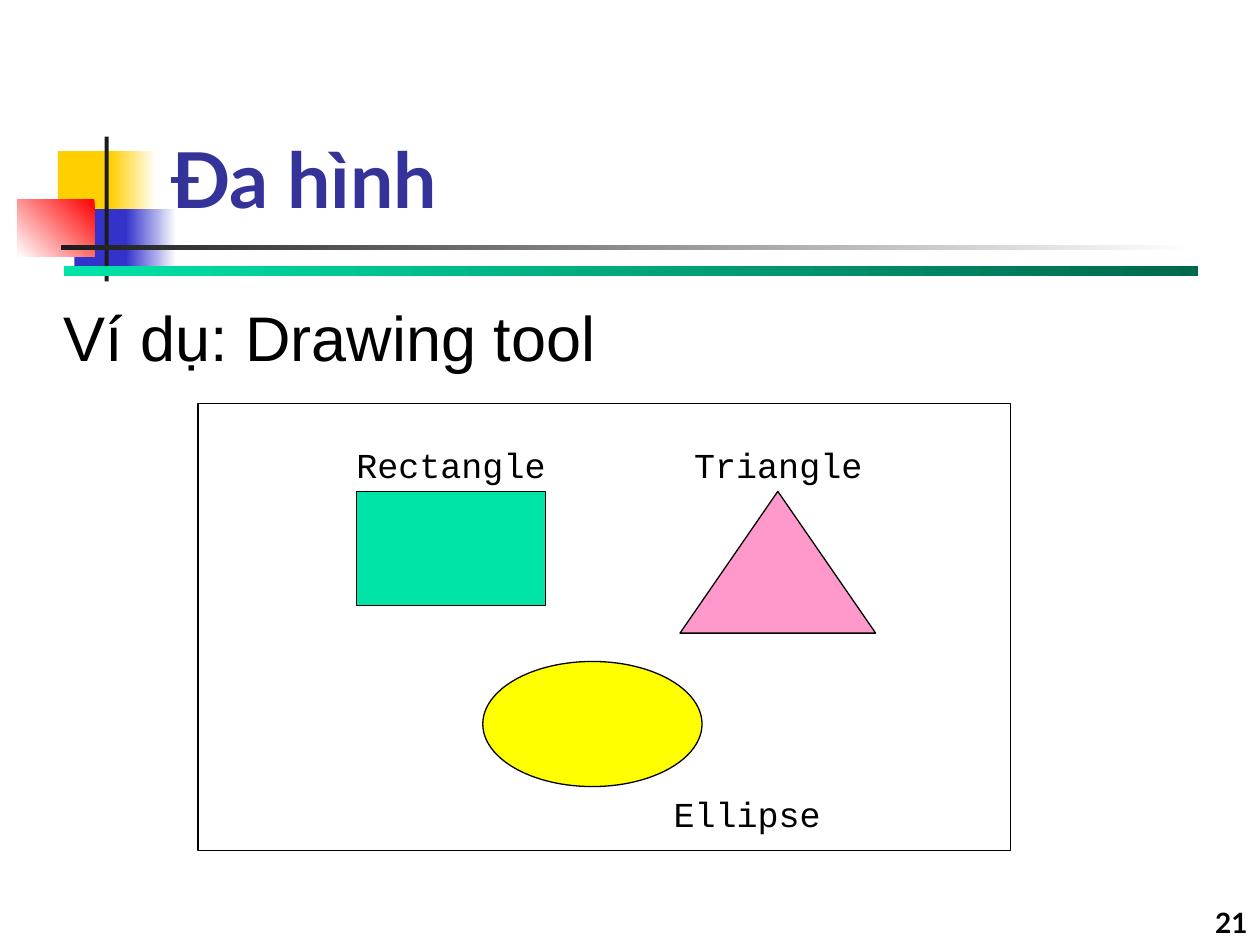
from pptx import Presentation
from pptx.dml.color import RGBColor as Rgb
from pptx.enum.shapes import MSO_SHAPE as Kind
from pptx.enum.text import MSO_ANCHOR as Anchor, MSO_AUTO_SIZE as Fit, PP_ALIGN as Align
from pptx.util import Pt

THEME = {
    "white": "FFFFFF", "black": "000000", "ink": "1C1C1C", "title": "333399",
    "gold": "FFCF01", "blue": "3333CC", "red": "FF0000",
    "mint": "00E4A8", "pine": "00694D", "yellow": "FFFF00", "pink": "FF99CC",
    "head": ("Lato", 44, True), "lead": ("Arial", 36, False),
    "code": ("Courier New", 20, False), "page": ("Lato", 16, True),
}

TITLE = ("Đa hình", (90.72, 16.56, 613.44, 115.2))

DECOR = [
    ((33.12, 86.4, 34.56, 37.44), ["gold"], 0),
    ((63.36, 86.4, 25.92, 37.44), ["white", "gold"], 180),
    ((42.48, 119.52, 33.12, 37.44), ["blue"], 0),
    ((72, 119.52, 28.8, 37.44), ["white", "blue"], 180),
    ((10.08, 113.76, 43.92, 33.12), ["red", "white"], 225),
    ((59.76, 78, 2.4, 82.8), ["ink"], 0),
    ((34.8, 140.2, 648, 2.5), ["white", "ink"], 180),
    ((36.72, 152, 648, 6), ["pine", "mint"], 180),
]

FIGURES = [
    (Kind.RECTANGLE, (113.2, 230.4, 464.4, 255.8), None),
    (Kind.RECTANGLE, (203.76, 280.8, 108, 65.2), "mint"),
    (Kind.OVAL, (275.9, 378, 125.28, 71.5), "yellow"),
    (Kind.ISOSCELES_TRIANGLE, (388.6, 280.8, 111.8, 81), "pink"),
]

LABELS = [
    ("Ví dụ: Drawing tool", (29.2, 167.04, 330, 50.4), "lead"),
    ("Rectangle", (196.56, 249.84, 132, 31.68), "code"),
    ("Triangle", (389.6, 249.84, 120, 31.68), "code"),
    ("Ellipse", (377.8, 449.6, 108, 31.68), "code"),
]

PAGE = ("21", (570.24, 504, 149.76, 36))


def tint(name):
    return Rgb.from_string(THEME[name])


def place(box):
    return [Pt(v) for v in box]


def draw(slide, kind, box, hues, angle=0, edge=None):
    shape = slide.shapes.add_shape(kind, *place(box))
    shape.shadow.inherit = False
    fill = shape.fill
    if len(hues) == 2:
        fill.gradient()
        fill.gradient_angle = angle
        for stop, hue, pos in zip(fill.gradient_stops, hues, (0, 1)):
            stop.color.rgb = tint(hue)
            stop.position = pos
    elif hues:
        fill.solid()
        fill.fore_color.rgb = tint(hues[0])
    else:
        fill.background()
    if edge:
        shape.line.color.rgb = tint(edge)
        shape.line.width = Pt(0.75)
    else:
        shape.line.fill.background()


def write(frame, text, style, hue="black", align=Align.LEFT, anchor=Anchor.TOP):
    frame.text = text
    frame.word_wrap = True
    frame.auto_size = Fit.NONE
    frame.vertical_anchor = anchor
    para = frame.paragraphs[0]
    para.alignment = align
    font = para.runs[0].font
    font.name, size, font.bold = THEME[style]
    font.size = Pt(size)
    font.color.rgb = tint(hue)


def main():
    deck = Presentation()
    deck.slide_width, deck.slide_height = Pt(720), Pt(540)
    slide = deck.slides.add_slide(deck.slide_layouts[5])

    text, box = TITLE
    title = slide.shapes.title
    title.left, title.top, title.width, title.height = place(box)
    write(title.text_frame, text, "head", "title", anchor=Anchor.BOTTOM)

    for box, hues, angle in DECOR:
        draw(slide, Kind.RECTANGLE, box, hues, angle)
    for kind, box, hue in FIGURES:
        draw(slide, kind, box, [hue] if hue else [], edge="black")

    for text, box, style in LABELS:
        label = slide.shapes.add_textbox(*place(box))
        write(label.text_frame, text, style)

    text, box = PAGE
    page = slide.shapes.add_textbox(*place(box))
    write(page.text_frame, text, "page", align=Align.RIGHT, anchor=Anchor.BOTTOM)

    deck.save("out.pptx")


if __name__ == "__main__":
    main()
